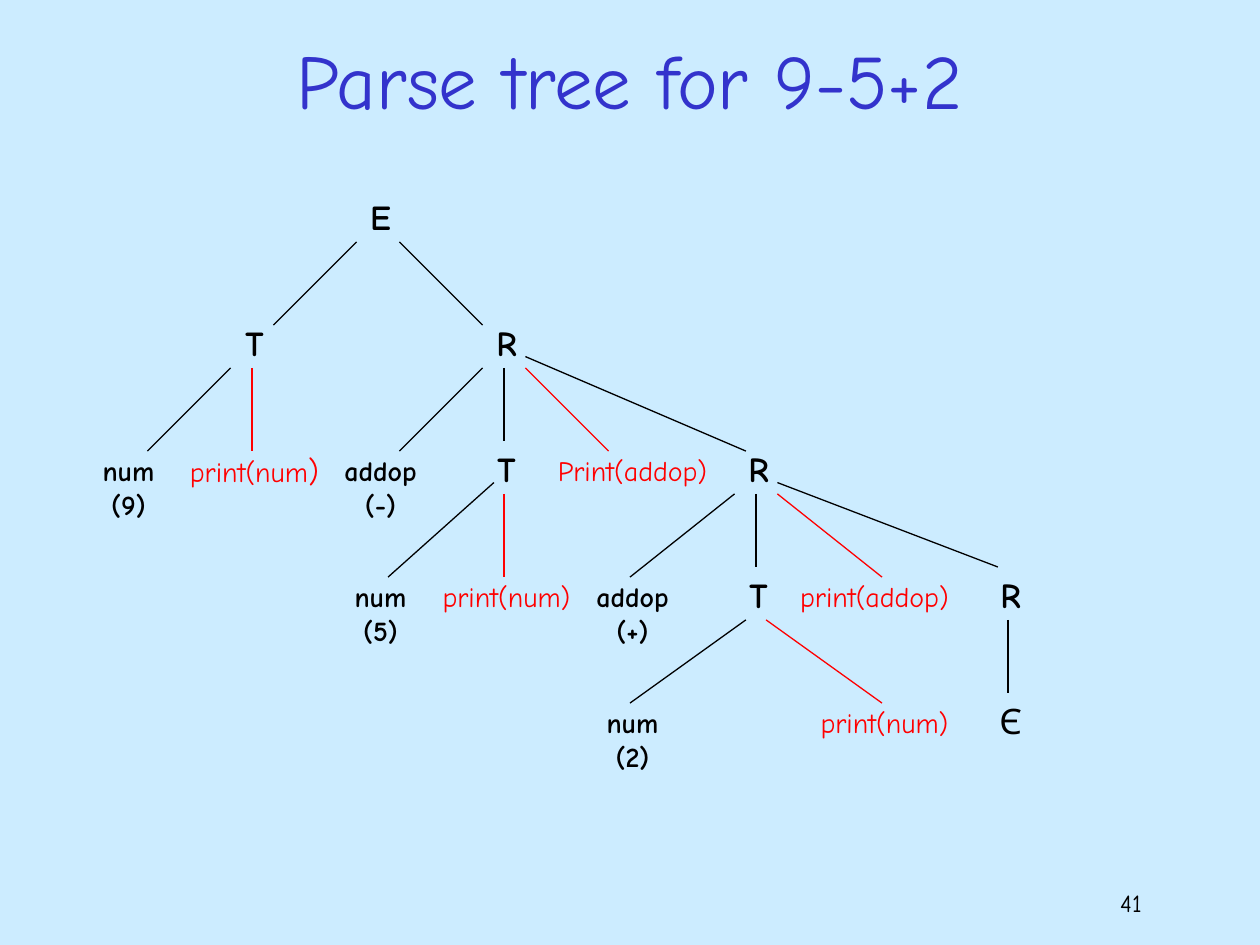
from lxml.etree import SubElement
from pptx import Presentation
from pptx.dml.color import RGBColor
from pptx.enum.shapes import MSO_CONNECTOR
from pptx.enum.text import MSO_ANCHOR, MSO_AUTO_SIZE, PP_ALIGN
from pptx.oxml.ns import qn
from pptx.util import Inches, Pt

FONT = "Comic Neue"
COLORS = {"sky": "CCECFF", "title": "3333CC", "grammar": "000000", "action": "FF0000"}
NODE_OFFSET = 0.02

SYMBOLS = [
    ("E", 3, 1.5), ("T", 2, 2.5), ("R", 4, 2.5), ("T", 4, 3.5), ("R", 6, 3.5),
    ("T", 6, 4.5), ("R", 8, 4.5),
]
TOKENS = [
    ("num\n(9)", 1, 3.55), ("addop\n(-)", 3, 3.55), ("num\n(5)", 3, 4.55),
    ("addop\n(+)", 5, 4.55), ("num\n(2)", 5, 5.55),
]
ACTIONS = [
    ("Print(addop)", 5, 3.55), ("print(num)", 4, 4.55),
    ("print(addop)", 6.92, 4.55), ("print(num)", 7, 5.55),
]
GRAMMAR_EDGES = [
    (2.83, 1.92, 2.17, 2.58), (3.17, 1.92, 3.83, 2.58),
    (1.83, 2.92, 1.17, 3.58), (3.83, 2.92, 3.17, 3.58),
    (4, 2.92, 4, 3.5), (4.17, 2.83, 5.92, 3.58),
    (3.92, 3.83, 3.08, 4.58), (5.83, 3.92, 5, 4.58),
    (6, 3.92, 6, 4.5), (6.17, 3.83, 7.92, 4.5),
    (5.92, 4.92, 5, 5.58), (8, 4.92, 8, 5.5),
]
ACTION_EDGES = [
    (2, 2.92, 2, 3.58), (4.17, 2.92, 4.83, 3.58), (4, 3.92, 4, 4.58),
    (6.17, 3.92, 7, 4.58), (6.08, 4.92, 7, 5.58),
]


def rgb(role):
    return RGBColor.from_string(COLORS[role])


def add_label(slide, text, left, top, width, height, size, role,
              align=PP_ALIGN.CENTER, bold=False):
    label = slide.shapes.add_textbox(
        Inches(left), Inches(top), Inches(width), Inches(height))
    frame = label.text_frame
    frame.word_wrap = True
    frame.text = text
    for paragraph in frame.paragraphs:
        paragraph.alignment = align
        for run in paragraph.runs:
            run.font.name = FONT
            run.font.size = Pt(size)
            run.font.bold = bold
            run.font.color.rgb = rgb(role)
    return frame


def add_node(slide, text, column, top, width, height, size, role, bold=False):
    left = column + NODE_OFFSET - width / 2
    frame = add_label(slide, text, left, top, width, height, size, role, bold=bold)
    frame.word_wrap = False
    frame.auto_size = MSO_AUTO_SIZE.SHAPE_TO_FIT_TEXT
    return frame


def add_edge(slide, ends, role):
    edge = slide.shapes.add_connector(
        MSO_CONNECTOR.STRAIGHT, *[Inches(value) for value in ends])
    edge.line.color.rgb = rgb(role)
    edge.line.width = Pt(0.75)
    SubElement(edge._element.spPr, qn("a:effectLst"))


def add_tree(slide):
    for text, column, top in SYMBOLS:
        add_node(slide, text, column, top, 0.38, 0.44, 20, "grammar", bold=True)
    add_node(slide, "Є", 8, 5.5, 0.38, 0.44, 20, "grammar")
    for text, column, top in TOKENS:
        width = 0.8 if text.startswith("addop") else 0.64
        add_node(slide, text, column, top, width, 0.64, 16, "grammar", bold=True)
    for text, column, top in ACTIONS:
        width = 1.42 if "addop" in text else 1.24
        add_node(slide, text, column, top, width, 0.37, 16, "action")

    first_print = add_node(slide, "print(num", 2, 3.53, 1.26, 0.4, 16, "action")
    bracket = first_print.paragraphs[0].add_run()
    bracket.text = ")"
    bracket.font.name = FONT
    bracket.font.size = Pt(18)
    bracket.font.color.rgb = rgb("action")

    for role, edges in (("grammar", GRAMMAR_EDGES), ("action", ACTION_EDGES)):
        for ends in edges:
            add_edge(slide, ends, role)


def main():
    deck = Presentation()
    deck.slide_width, deck.slide_height = Inches(10), Inches(7.5)
    slide = deck.slides.add_slide(deck.slide_layouts[6])
    slide.background.fill.solid()
    slide.background.fill.fore_color.rgb = rgb("sky")

    title = add_label(slide, "Parse tree for 9-5+2", 0.75, 0, 8.5, 1.25, 44, "title")
    title.vertical_anchor = MSO_ANCHOR.MIDDLE
    add_label(slide, "41", 7.08, 7, 2.08, 0.5, 14, "grammar", PP_ALIGN.RIGHT)
    add_tree(slide)
    deck.save("out.pptx")


if __name__ == "__main__":
    main()
